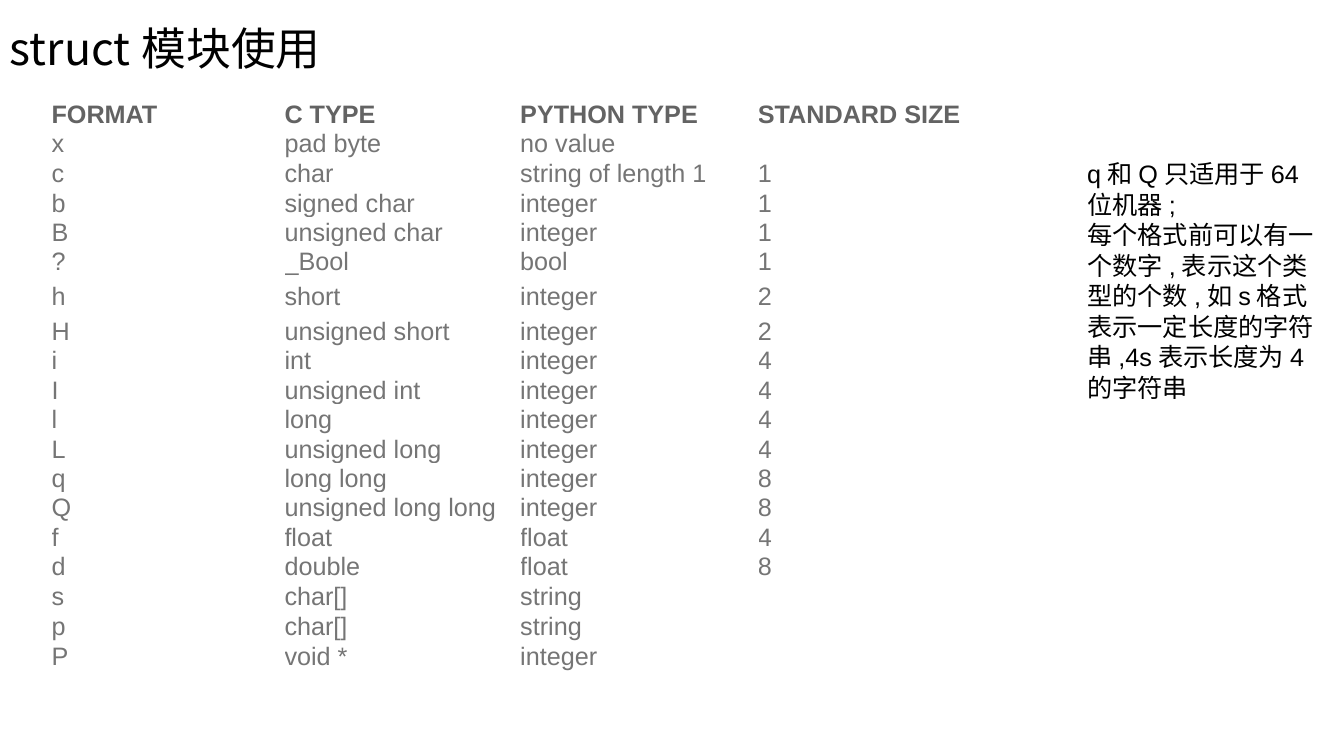
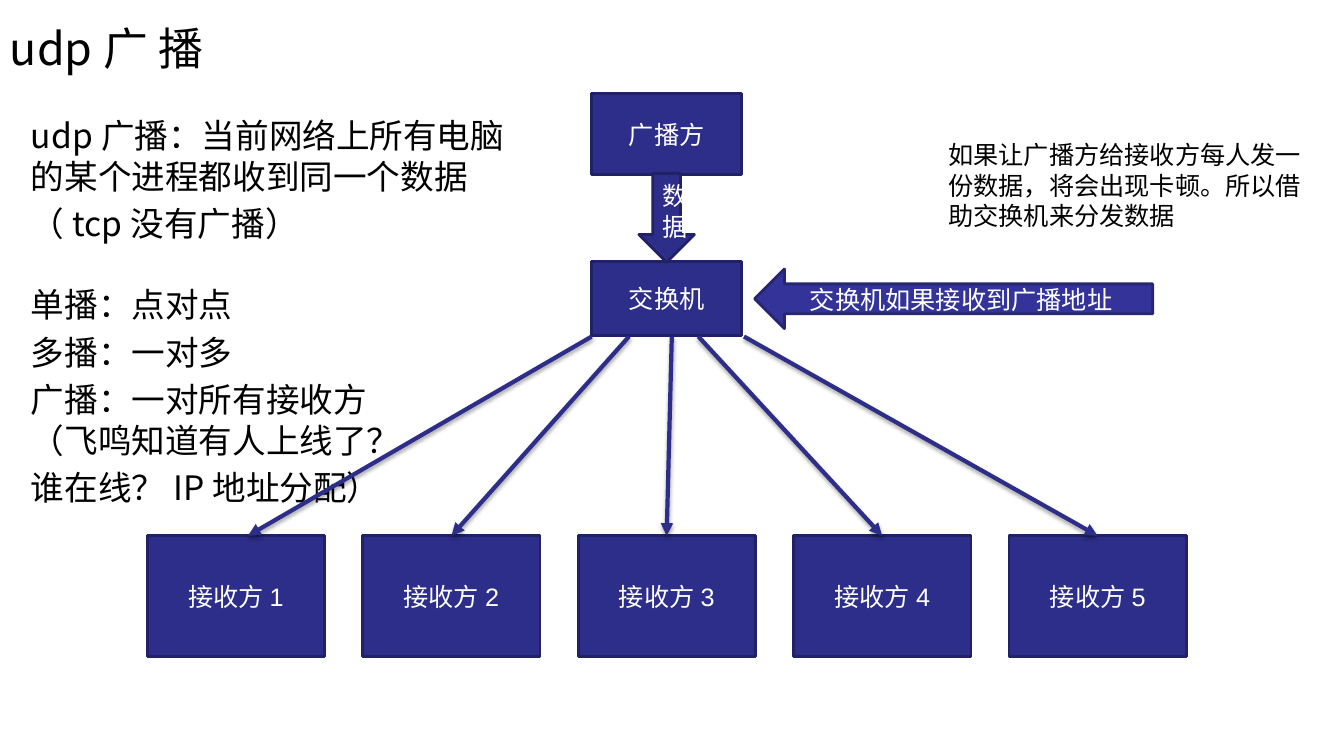
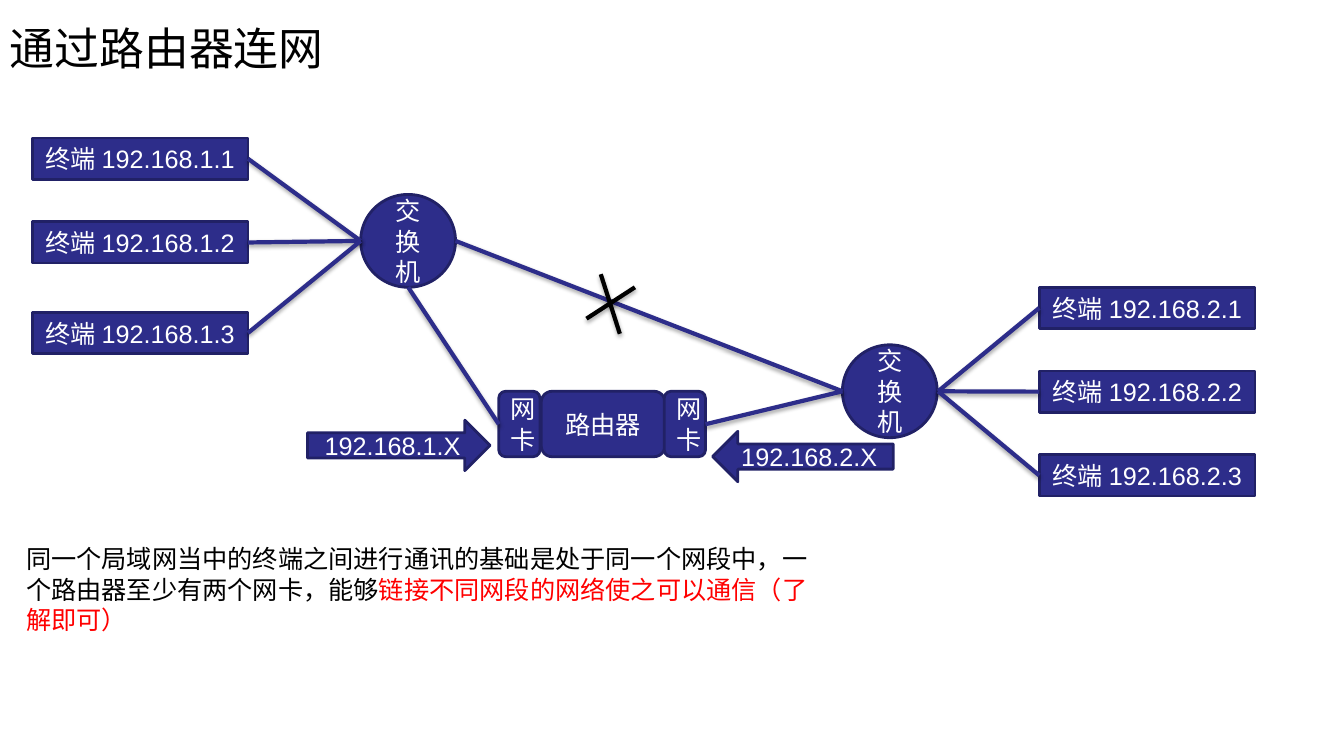
"""Build three slides on struct formats, UDP broadcast and routed networks."""
from dataclasses import dataclass

import lxml.etree
import pptx
import pptx.dml.color
import pptx.enum.shapes
import pptx.enum.text
import pptx.oxml.ns
import pptx.util

Cm = pptx.util.Cm
Pt = pptx.util.Pt
RGB = pptx.dml.color.RGBColor.from_string
Kind = pptx.enum.shapes.MSO_SHAPE
Anchor = pptx.enum.text.MSO_ANCHOR
Align = pptx.enum.text.PP_ALIGN
qn = pptx.oxml.ns.qn

COLORS = {
    "black": "000000",
    "white": "FFFFFF",
    "red": "FF0000",
    "navy": "2D2D8A",
    "navy_edge": "212166",
    "blue": "333399",
    "blue_edge": "262671",
    "head": "636363",
    "cell": "757575",
}
ARIAL = "Arial"
NOTO = "Noto Sans CJK SC"

FORMATS = (
    ("FORMAT", "C TYPE", "PYTHON TYPE", "STANDARD SIZE"),
    ("x", "pad byte", "no value", ""),
    ("c", "char", "string of length 1", "1"),
    ("b", "signed char", "integer", "1"),
    ("B", "unsigned char", "integer", "1"),
    ("?", "_Bool", "bool", "1"),
    ("h", "short", "integer", "2"),
    ("H", "unsigned short", "integer", "2"),
    ("i", "int", "integer", "4"),
    ("I", "unsigned int", "integer", "4"),
    ("l", "long", "integer", "4"),
    ("L", "unsigned long", "integer", "4"),
    ("q", "long long", "integer", "8"),
    ("Q", "unsigned long long", "integer", "8"),
    ("f", "float", "float", "4"),
    ("d", "double", "float", "8"),
    ("s", "char[]", "string", ""),
    ("p", "char[]", "string", ""),
    ("P", "void *", "integer", ""),
)


@dataclass
class Node:
    text: str
    x: float
    y: float
    w: float
    h: float
    kind: int = Kind.RECTANGLE
    fill: str = "navy"
    edge: str = "navy_edge"


@dataclass
class Link:
    x1: float
    y1: float
    x2: float
    y2: float
    color: str = "navy"
    arrow: bool = False


def write(p, text: str, *, size: float = 18, color: str = "black", face: str = ARIAL,
          bold: bool = False, leading: float = 1.21, before: float = 0) -> None:
    p.line_spacing = Pt(round(size * leading, 1))
    p.space_before = Pt(before)
    for i, line in enumerate(text.split("\n")):
        if i:
            p.add_line_break()
        r = p.add_run()
        r.text = line
        r.font.size = Pt(size)
        r.font.bold = bold
        r.font.name = face
        r.font.color.rgb = RGB(COLORS[color])
        ea = lxml.etree.SubElement(r.font._element, qn("a:ea"))
        ea.set("typeface", NOTO)


def add_box(slide, x: float, y: float, w: float, h: float):
    tf = slide.shapes.add_textbox(Cm(x), Cm(y), Cm(w), Cm(h)).text_frame
    tf.word_wrap = True
    return tf


def add_slide(prs, title: str):
    slide = prs.slides.add_slide(prs.slide_layouts[6])
    tf = add_box(slide, 0, 0, 26.19, 2.39)
    tf.vertical_anchor = Anchor.MIDDLE
    write(tf.paragraphs[0], title, size=32, face=NOTO)
    return slide


def add_node(slide, node: Node) -> None:
    sp = slide.shapes.add_shape(node.kind, Cm(node.x), Cm(node.y), Cm(node.w), Cm(node.h))
    sp.shadow.inherit = False
    sp.fill.solid()
    sp.fill.fore_color.rgb = RGB(COLORS[node.fill])
    sp.line.color.rgb = RGB(COLORS[node.edge])
    sp.line.width = Pt(2)
    tf = sp.text_frame
    tf.word_wrap = True
    tf.vertical_anchor = Anchor.MIDDLE
    p = tf.paragraphs[0]
    p.alignment = Align.CENTER
    write(p, node.text, color="white")


def add_link(slide, link: Link) -> None:
    sp = slide.shapes.add_connector(pptx.enum.shapes.MSO_CONNECTOR.STRAIGHT,
                                    Cm(link.x1), Cm(link.y1), Cm(link.x2), Cm(link.y2))
    sp.line.color.rgb = RGB(COLORS[link.color])
    sp.line.width = Pt(3)
    if link.arrow:
        tail = lxml.etree.SubElement(sp.line._get_or_add_ln(), qn("a:tailEnd"))
        tail.set("type", "triangle")
    effects = lxml.etree.SubElement(sp._element.spPr, qn("a:effectLst"))
    shadow = lxml.etree.SubElement(effects, qn("a:outerShdw"), blurRad=str(Pt(3.1)),
                                   dist=str(Pt(1.8)), dir="5400000", rotWithShape="0")
    black = lxml.etree.SubElement(shadow, qn("a:srgbClr"), val=COLORS["black"])
    lxml.etree.SubElement(black, qn("a:alpha"), val="35000")


def build_struct(prs) -> None:
    slide = add_slide(prs, "struct模块使用")
    widths = (5.87, 5.94, 5.99, 5.89)
    table = slide.shapes.add_table(len(FORMATS), len(widths), Cm(1.3), Cm(2.5),
                                   Cm(sum(widths)), Cm(14.34)).table
    table.first_row = False
    table.horz_banding = False
    for column, width in zip(table.columns, widths):
        column.width = Cm(width)
    for i, values in enumerate(FORMATS):
        table.rows[i].height = Cm(1.02 if values[0] == "h" else 0.74)
        for j, value in enumerate(values):
            cell = table.cell(i, j)
            cell.fill.background()
            cell.vertical_anchor = Anchor.MIDDLE
            cell.margin_left = cell.margin_right = cell.margin_top = cell.margin_bottom = 0
            if value:
                write(cell.text_frame.paragraphs[0], value, bold=i == 0, leading=1.15,
                      color="cell" if i else "head")
    tf = add_box(slide, 27.15, 3.86, 6.22, 7.19)
    write(tf.paragraphs[0], "q和Q只适用于64位机器;")
    write(tf.add_paragraph(),
          "每个格式前可以有一个数字,表示这个类型的个数,如s格式表示一定长度的字符串,4s表示长度为4的字符串")


def build_broadcast(prs) -> None:
    slide = add_slide(prs, "udp广 播")
    tf = add_box(slide, 0.53, 2.77, 32.54, 14.1)
    points = (
        ("udp广播：当前网络上所有电脑\n的某个进程都收到同一个数据", 4.8),
        ("（tcp没有广播）", 4.8),
        ("单播：点对点", 29),
        ("多播：一对多", 4.8),
        ("广播：一对所有接收方\n（飞鸣知道有人上线了？", 4.8),
        ("谁在线？IP地址分配）", 4.8),
    )
    for i, (text, before) in enumerate(points):
        p = tf.add_paragraph() if i else tf.paragraphs[0]
        write(p, text, size=24, face=NOTO, before=before)

    add_node(slide, Node("广播方", 14.91, 2.36, 3.78, 2.03))
    add_node(slide, Node("交换机", 14.91, 6.6, 3.78, 1.85))
    for i in range(5):
        add_node(slide, Node(f"接收方{i + 1}", 3.71 + 5.43 * i, 13.5, 4.47, 3.05))
    starts = (14.91, 15.85, 16.93, 17.6, 18.75)
    ends = (6.25, 11.38, 16.8, 22.23, 27.66)
    for start, end in zip(starts, ends):
        add_link(slide, Link(start, 8.48, end, 13.5, arrow=True))
    add_node(slide, Node("数据", 16.1, 4.37, 1.4, 2.24, Kind.DOWN_ARROW))
    tf = add_box(slide, 23.65, 3.38, 9.96, 2.57)
    write(tf.paragraphs[0],
          "如果让广播方给接收方每人发一份数据，将会出现卡顿。所以借助交换机来分发数据", face=NOTO)
    add_node(slide, Node("交换机如果接收到广播地址", 19.02, 6.78, 10.03, 1.5,
                         Kind.LEFT_ARROW, "blue", "blue_edge"))


def build_router(prs) -> None:
    slide = add_slide(prs, "通过路由器连网")
    w, h = 5.44, 1.04
    left_x, right_x = 0.81, 26.19
    left_ys, right_ys = (3.48, 5.59, 7.87), (7.24, 9.35, 11.46)
    for net, x, ys in ((1, left_x, left_ys), (2, right_x, right_ys)):
        for host, y in enumerate(ys, 1):
            add_node(slide, Node(f"终端192.168.{net}.{host}", x, y, w, h))
    for x, y in ((9.09, 4.9), (21.23, 8.69)):
        add_node(slide, Node("交换机", x, y, 2.39, 2.34, Kind.OVAL))
    add_node(slide, Node("路由器", 13.64, 9.86, 3.12, 1.65, Kind.ROUNDED_RECTANGLE))
    for x in (12.57, 16.74):
        add_node(slide, Node("网卡", x, 9.86, 1.04, 1.65, Kind.ROUNDED_RECTANGLE))

    links = [Link(left_x + w, y + h / 2, 9.09, 6.07) for y in left_ys]
    links += [Link(23.64, 9.86, right_x, y + h / 2) for y in right_ys]
    links += [
        Link(11.48, 6.07, 21.23, 9.86),
        Link(17.78, 10.69, 21.23, 9.86),
        Link(10.29, 7.24, 12.57, 10.69),
        Link(15.14, 6.91, 15.62, 8.41, "black"),
        Link(14.78, 8.03, 16, 7.24, "black"),
    ]
    for link in links:
        add_link(slide, link)

    p = add_box(slide, 0.41, 13.56, 20.52, 2.57).paragraphs[0]
    write(p, "同一个局域网当中的终端之间进行通讯的基础是处于同一个网段中，一个路由器至少有两个网卡，能够")
    write(p, "链接不同网段的网络使之可以通信（了解即可）", color="red")
    add_node(slide, Node("192.168.1.X", 7.75, 10.59, 4.6, 1.27, Kind.RIGHT_ARROW))
    add_node(slide, Node("192.168.2.X", 17.96, 10.87, 4.55, 1.27, Kind.LEFT_ARROW))


def main() -> None:
    prs = pptx.Presentation()
    prs.slide_width = Cm(33.87)
    prs.slide_height = Cm(19.05)
    build_struct(prs)
    build_broadcast(prs)
    build_router(prs)
    prs.save("out.pptx")


if __name__ == "__main__":
    main()
